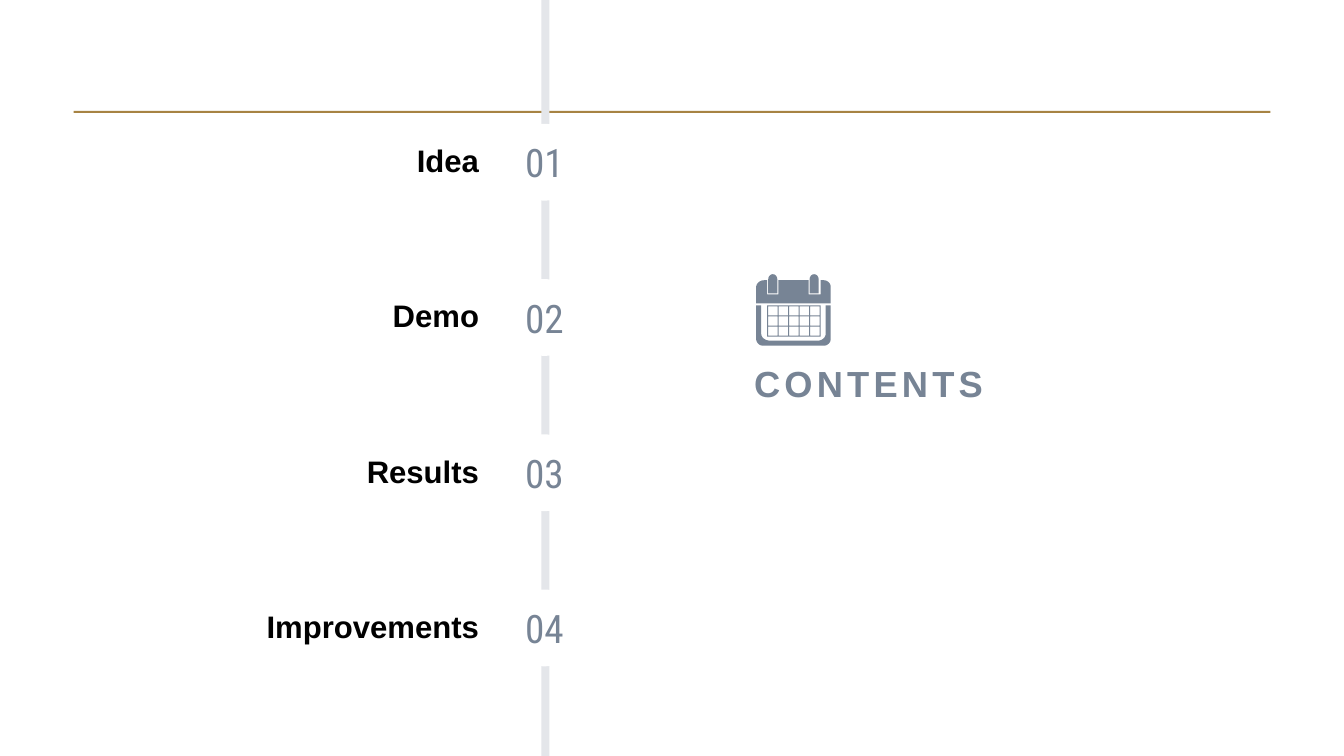
from dataclasses import dataclass
from math import cos, radians, sin

from pptx import Presentation
from pptx.dml.color import RGBColor as RGB
from pptx.enum.shapes import MSO_SHAPE as SHAPE
from pptx.enum.text import MSO_ANCHOR as ANCHOR, PP_ALIGN as ALIGN
from pptx.util import Inches, Pt


@dataclass(frozen=True)
class Theme:
    """Colours, fonts and type sizes of the deck."""
    white: RGB = RGB.from_string("FFFFFF")
    black: RGB = RGB.from_string("000000")
    gold: RGB = RGB.from_string("A78343")
    rail: RGB = RGB.from_string("E4E6EA")
    slate: RGB = RGB.from_string("778495")
    body: str = "Arial"
    numeral: str = "Roboto Condensed"
    number_size: float = 28
    label_size: float = 22.2
    title_size: float = 25.9


THEME = Theme()
TOPICS = ["Idea", "Demo", "Results", "Improvements"]


def paint(sp, color, border=None):
    """Give a shape a solid fill, an optional border and no shadow."""
    sp.shadow.inherit = False
    sp.fill.solid()
    sp.fill.fore_color.rgb = color
    if border:
        sp.line.color.rgb = color
        sp.line.width = Pt(border)
    else:
        sp.line.fill.background()


def add_bar(s, x, y, w, h, color):
    """Draw a plain rectangle."""
    sp = s.shapes.add_shape(SHAPE.RECTANGLE, Inches(x), Inches(y), Inches(w), Inches(h))
    paint(sp, color)


def write(sp, text, color, spacing=0, anchor=ANCHOR.MIDDLE, para=None, font=None):
    """Put one formatted line of text into a shape."""
    tf = sp.text_frame
    tf.word_wrap = False
    tf.vertical_anchor = anchor
    p = tf.paragraphs[0]
    r = p.add_run()
    r.text = text
    r.font.color.rgb = color
    for target, formats in ((p, para or {}), (r.font, font or {})):
        for name, value in formats.items():
            setattr(target, name, value)
    if spacing:
        r._r.get_or_add_rPr().set("spc", str(spacing * 100))


def arc(cx, cy, rx, ry, start, end, steps=8):
    """Return points along an elliptical arc, angles in degrees."""
    angles = [radians(start + (end - start) * i / steps) for i in range(steps + 1)]
    return [(cx + rx * cos(a), cy + ry * sin(a)) for a in angles]


def box_points(x, y, w, h):
    """Return the corners of a rectangle."""
    return [(x, y), (x + w, y), (x + w, y + h), (x, y + h)]


def calendar_contours():
    """Return the closed outlines of the calendar, measured from its corner."""
    frame = [(0, 0.31), (0.05, 0.31),
             *arc(0.14, 0.59, 0.09, 0.07, 180, 90),
             *arc(0.61, 0.59, 0.08, 0.07, 90, 0),
             (0.69, 0.31), (0.74, 0.31),
             *arc(0.67, 0.64, 0.07, 0.07, 0, 90),
             *arc(0.07, 0.64, 0.07, 0.07, 90, 180)]
    header = [*arc(0.08, 0.13, 0.08, 0.07, 180, 270),
              (0.11, 0.06), (0.11, 0.2), (0.22, 0.2), (0.22, 0.06),
              (0.52, 0.06), (0.52, 0.2), (0.64, 0.2), (0.64, 0.06),
              *arc(0.67, 0.13, 0.07, 0.07, 270, 360), (0.74, 0.29), (0, 0.29)]
    rings = [[(x, 0.19), *arc(x + 0.045, 0.05, 0.045, 0.05, 180, 360), (x + 0.09, 0.19)]
             for x in (0.12, 0.53)]
    x, y, w, h, rule, cols, rows = 0.11, 0.31, 0.53, 0.31, 0.01, 5, 3
    dx, dy = (w - rule) / cols, (h - rule) / rows
    cells = [box_points(x + rule + c * dx, y + rule + r * dy, dx - rule, dy - rule)[::-1]
             for r in range(rows) for c in range(cols)]
    return [frame, box_points(x, y, w, h), *cells, header, *rings]


def add_calendar(s, x, y):
    """Draw the calendar icon with its top left corner at x, y."""
    contours = [[(Inches(x + px), Inches(y + py)) for px, py in points]
                for points in calendar_contours()]
    builder = s.shapes.build_freeform(*contours[0][0], scale=1.0)
    for i, points in enumerate(contours):
        if i:
            builder.move_to(*points[0])
        builder.add_line_segments(points[1:], close=True)
    paint(builder.convert_to_shape(), THEME.slate)


def add_timeline(s, x, y, w, h):
    """Draw the vertical rail with numbered stops and right-aligned labels."""
    size, first, pitch = 0.7, 1.26, 1.54
    stop_x = x + w - size
    add_bar(s, stop_x + 0.32, y, 0.08, h, THEME.rail)
    for i, topic in enumerate(TOPICS):
        top = y + first + i * pitch
        sp = s.shapes.add_shape(SHAPE.OVAL, Inches(stop_x), Inches(top),
                                Inches(size), Inches(size))
        paint(sp, THEME.white, border=4.5)
        write(sp, f"{i + 1:02}", THEME.slate, para={"alignment": ALIGN.CENTER},
              font={"name": THEME.numeral, "size": Pt(THEME.number_size)})
        label = s.shapes.add_textbox(Inches(x), Inches(top + 0.14),
                                     Inches(w - size - 0.2), Inches(0.42))
        write(label, topic, THEME.black, anchor=ANCHOR.BOTTOM,
              para={"alignment": ALIGN.RIGHT, "line_spacing": 0.8},
              font={"name": THEME.body, "size": Pt(THEME.label_size), "bold": True})


def add_heading(s, x, y, w, h):
    """Place the calendar icon above the slide heading."""
    add_calendar(s, x + 0.12, y)
    title_h = 0.66
    sp = s.shapes.add_textbox(Inches(x), Inches(y + h - title_h), Inches(w), Inches(title_h))
    write(sp, "CONTENTS", THEME.slate, spacing=3,
          para={"alignment": ALIGN.LEFT, "line_spacing": 1.3},
          font={"name": THEME.body, "size": Pt(THEME.title_size), "bold": True})


def add_contents_slide(prs):
    """Add the contents slide."""
    s = prs.slides.add_slide(prs.slide_layouts[6])
    add_bar(s, 0.73, 1.1, 11.87, 0.02, THEME.gold)
    add_timeline(s, 0.77, 0, 4.98, 7.5)
    add_heading(s, 7.38, 2.72, 3.52, 1.35)


def main():
    """Build and save the deck."""
    prs = Presentation()
    prs.slide_width, prs.slide_height = Inches(13.33), Inches(7.5)
    add_contents_slide(prs)
    prs.save("out.pptx")


if __name__ == "__main__":
    main()
